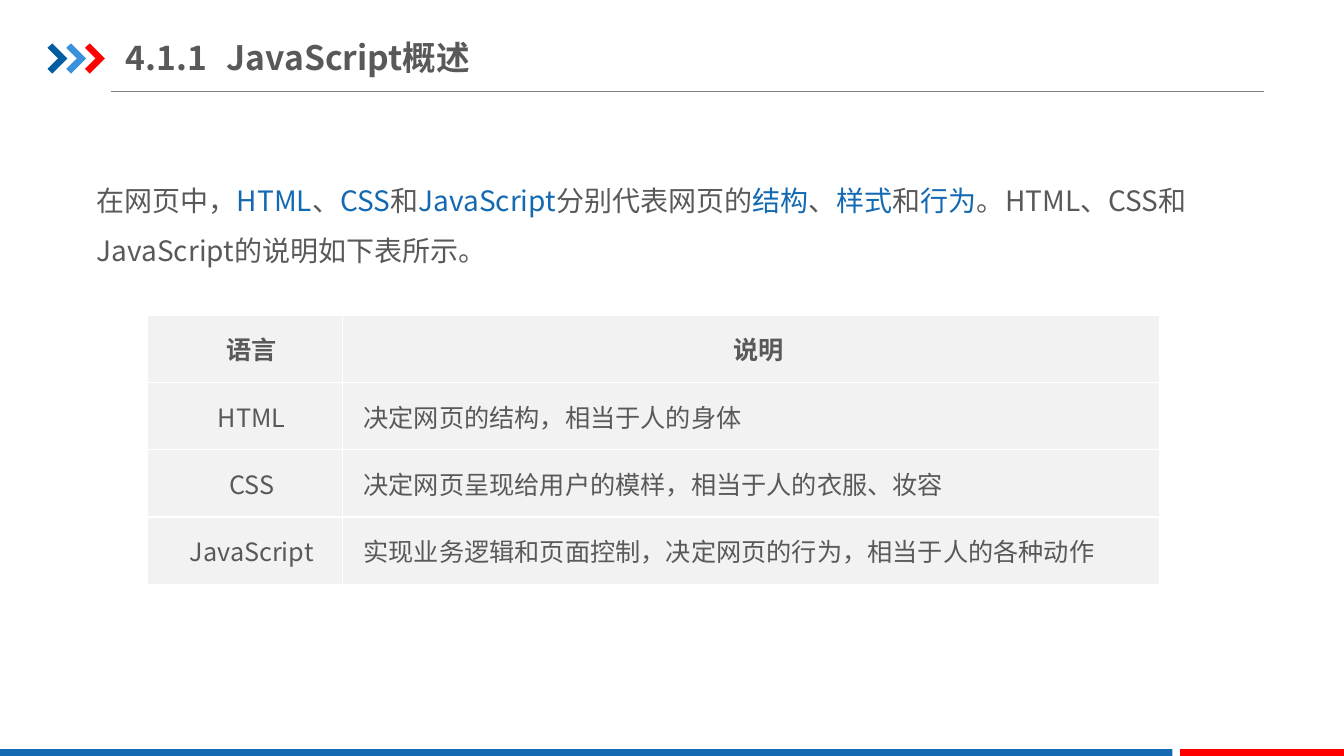
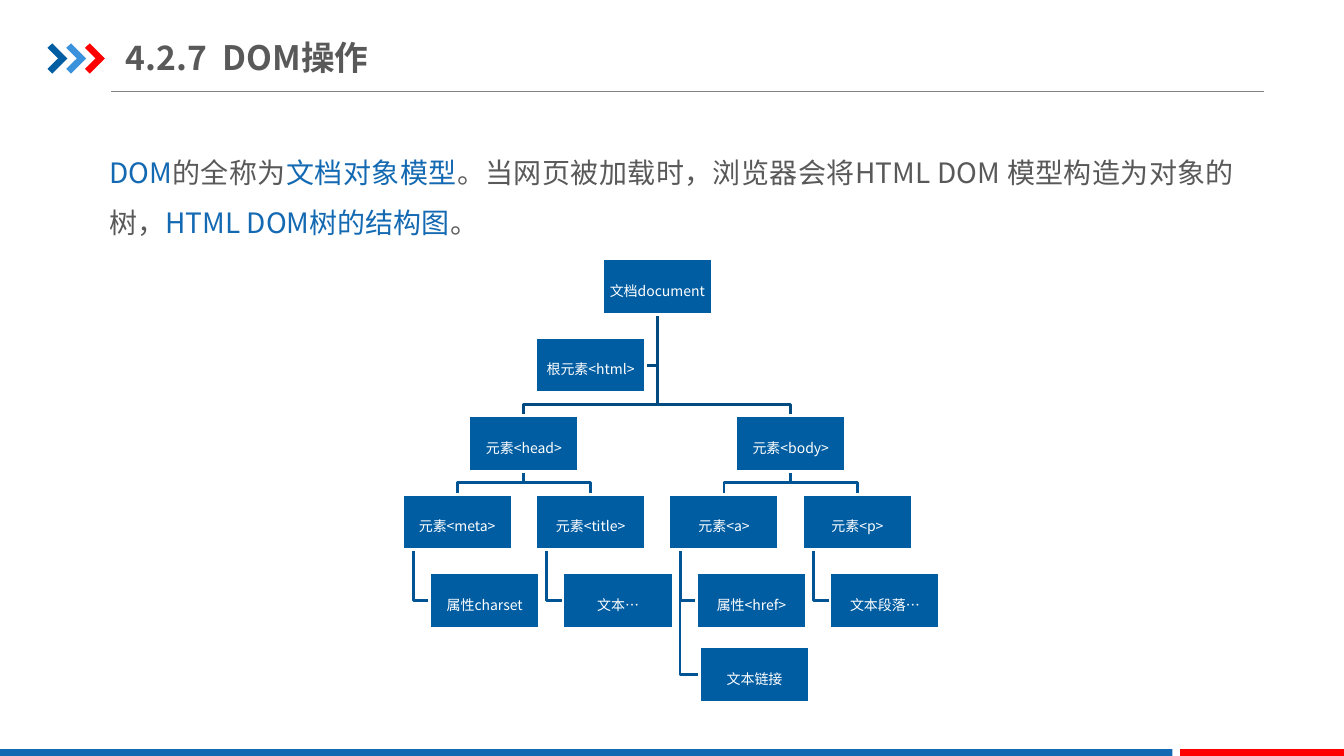
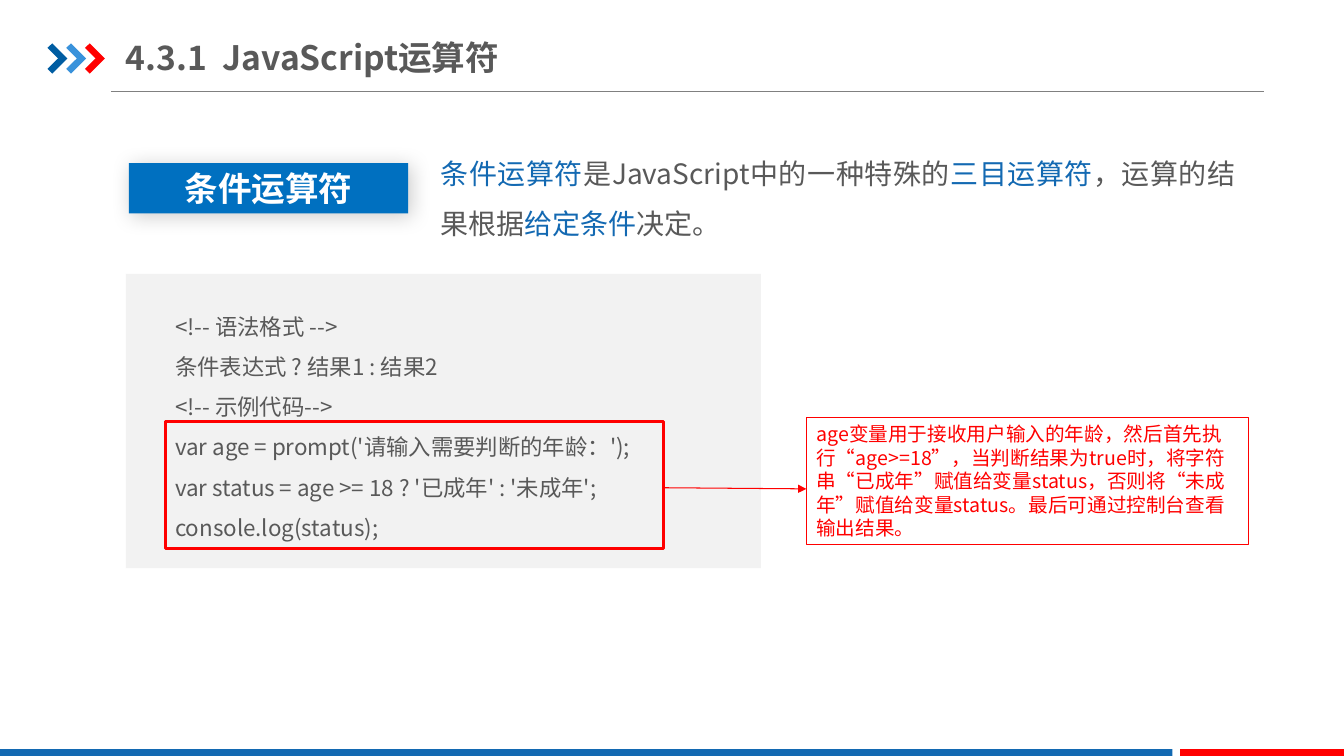
import lxml.etree
import pptx
import pptx.dml.color
import pptx.enum.shapes
import pptx.enum.text
import pptx.oxml.ns
import pptx.util

Pt = pptx.util.Pt
qn = pptx.oxml.ns.qn
ALIGN = pptx.enum.text.PP_ALIGN
MIDDLE = pptx.enum.text.MSO_ANCHOR.MIDDLE
TOP = pptx.enum.text.MSO_ANCHOR.TOP
FONT = "Noto Sans CJK SC"
COLORS = {
    "text": "595959", "accent": "1369B2", "navy": "005DA2", "sky": "3992DB",
    "red": "FF0000", "rule": "808080", "panel": "F2F2F2", "white": "FFFFFF",
    "banner": "0070C0", "trunk": "004A82", "branch": "005493", "black": "000000",
}
NODE_W, NODE_H = 78.5, 39.6
BEND = 8.2
STEM = 7.9


def rgb(name):
    return pptx.dml.color.RGBColor.from_string(COLORS[name])


def sub(parent, tag, **attrs):
    return lxml.etree.SubElement(parent, qn(tag), attrs)


def add_run(p, text, size, color, bold=False):
    r = p.add_run()
    r.text = text
    r.font.size = Pt(size)
    r.font.bold = bold
    r.font.color.rgb = rgb(color)
    r.font.name = FONT
    sub(r.font._element, "a:ea", typeface=FONT)


def set_frame(tf, anchor=TOP, inset=(7.2, 3.6)):
    tf.word_wrap = True
    tf.auto_size = pptx.enum.text.MSO_AUTO_SIZE.NONE
    tf.vertical_anchor = anchor
    tf.margin_left = tf.margin_right = Pt(inset[0])
    tf.margin_top = tf.margin_bottom = Pt(inset[1])


def write_lines(tf, lines, size, color="text", bold=False, align=ALIGN.LEFT, spacing=1):
    for i, line in enumerate(lines):
        p = tf.paragraphs[0] if i == 0 else tf.add_paragraph()
        p.alignment = align
        p.line_spacing = spacing
        for j, part in enumerate(line.split("|")):
            if part:
                add_run(p, part, size, "accent" if j % 2 else color, bold)


def add_text(s, box, lines, size, align=ALIGN.LEFT, inset=(7.2, 3.6)):
    tf = s.shapes.add_textbox(*map(Pt, box)).text_frame
    set_frame(tf, inset=inset)
    write_lines(tf, lines, size, align=align, spacing=1.5)


def paint(sp, fill=None, line=None, width=0.75):
    sp.shadow.inherit = False
    if fill:
        sp.fill.solid()
        sp.fill.fore_color.rgb = rgb(fill)
    else:
        sp.fill.background()
    if line:
        sp.line.color.rgb = rgb(line)
        sp.line.width = Pt(width)
    else:
        sp.line.fill.background()
    return sp


def add_rect(s, box, fill=None, line=None, width=0.75):
    kind = pptx.enum.shapes.MSO_SHAPE.RECTANGLE
    return paint(s.shapes.add_shape(kind, *map(Pt, box)), fill, line, width)


def add_outline(s, points, closed, **style):
    points = [(Pt(x), Pt(y)) for x, y in points]
    builder = s.shapes.build_freeform(*points[0])
    builder.add_line_segments(points[1:], close=closed)
    return paint(builder.convert_to_shape(), **style)


def add_line(s, ends, color, arrow=False):
    kind = pptx.enum.shapes.MSO_CONNECTOR.STRAIGHT
    c = s.shapes.add_connector(kind, *map(Pt, ends))
    c.line.color.rgb = rgb(color)
    c.line.width = Pt(0.75)
    spPr = c.element.spPr
    if arrow:
        sub(spPr.find(qn("a:ln")), "a:tailEnd", type="triangle")
    sub(spPr, "a:effectLst")
    return c


def add_soft_shadow(sp):
    effects = sp.element.spPr.find(qn("a:effectLst"))
    shadow = sub(effects, "a:outerShdw", blurRad=str(Pt(15)), dist=str(Pt(3)),
                 dir=str(45 * 60000), algn="tl", rotWithShape="0")
    color = sub(shadow, "a:srgbClr", val=COLORS["black"])
    sub(color, "a:alpha", val="20000")


def move_decor_to_layout(s, layout):
    title_type = pptx.enum.shapes.PP_PLACEHOLDER.TITLE
    for ph in list(layout.placeholders):
        if ph.placeholder_format.type != title_type:
            layout.shapes.element.remove(ph.element)
    decor = [add_line(s, (79.2, 65.5, 902.9, 65.5), "rule")]
    chevron = [(0, 3.2), (3.5, 0), (14.3, 10.8), (3.5, 21.6), (0, 18.2), (7.6, 10.8)]
    for i, color in enumerate(("navy", "sky", "red")):
        points = [(33.9 + 13.4 * i + x, 31 + y) for x, y in chevron]
        decor.append(add_outline(s, points, True, fill=color))
    decor.append(add_rect(s, (0, 535, 837.4, 6.5), "accent"))
    decor.append(add_rect(s, (843, 535, 117, 6.5), "red"))
    for sp in decor:
        layout.shapes.element.append(sp.element)


def add_titled_slide(prs, layout, title):
    s = prs.slides.add_slide(layout)
    sp = s.shapes.title
    sp.left, sp.top, sp.width, sp.height = map(Pt, (90, 21, 306.7, 39.6))
    set_frame(sp.text_frame, MIDDLE, (0, 5))
    write_lines(sp.text_frame, [title], 24, bold=True)
    return s


def style_cell(cell, text, bold, align):
    tcPr = cell._tc.get_or_add_tcPr()
    for side in ("a:lnL", "a:lnR", "a:lnT", "a:lnB"):
        ln = sub(tcPr, side, w=str(Pt(1)))
        sub(sub(ln, "a:solidFill"), "a:srgbClr", val=COLORS["white"])
    cell.fill.solid()
    cell.fill.fore_color.rgb = rgb("panel")
    cell.vertical_anchor = MIDDLE
    cell.margin_left = cell.margin_right = Pt(5)
    cell.margin_top = cell.margin_bottom = Pt(0)
    write_lines(cell.text_frame, [text], 18, bold=bold, align=align)
    cell.text_frame.paragraphs[0]._p.get_or_add_pPr().set("indent", str(Pt(10)))


def add_language_table(s, rows, widths, left, top, row_h):
    box = (left, top, sum(widths), row_h * len(rows))
    table = s.shapes.add_table(len(rows), len(widths), *map(Pt, box)).table
    table.first_row = table.horz_banding = False
    for column, width in zip(table.columns, widths):
        column.width = Pt(width)
    for i, row in enumerate(rows):
        table.rows[i].height = Pt(row_h)
        for j, text in enumerate(row):
            align = ALIGN.LEFT if i and j else ALIGN.CENTER
            style_cell(table.cell(i, j), text, i == 0, align)


def place_node(col, row, shift=0):
    return 287.3 + 95.3 * col + shift, 185 + 56 * row


def link_points(kind, parent, child):
    (px, py), (cx, cy) = parent, child
    mid, bottom, side = px + NODE_W / 2, py + NODE_H, cy + NODE_H / 2
    if kind == "below":
        end = cx + NODE_W / 2
        return [(mid, bottom), (mid, cy - BEND), (end, cy - BEND), (end, cy)]
    if kind == "beside":
        return [(mid, bottom), (mid, side), (cx + NODE_W, side)]
    return [(px + STEM, bottom), (px + STEM, side), (cx, side)]


def add_node(s, spot, text):
    sp = add_rect(s, (*spot, NODE_W, NODE_H), "navy", "white", 2)
    set_frame(sp.text_frame, MIDDLE, (0.7, 0.7))
    write_lines(sp.text_frame, [text], 10, "white", align=ALIGN.CENTER, spacing=1.5)
    sp.text_frame.paragraphs[0].space_after = Pt(3.5)


def add_dom_tree(s):
    nodes = {
        "document": ("文档document", place_node(1.5, 0), None, None),
        "html": ("根元素<html>", place_node(1, 1), "document", "beside"),
        "head": ("元素<head>", place_node(0.5, 2), "document", "below"),
        "body": ("元素<body>", place_node(2.5, 2), "document", "below"),
        "meta": ("元素<meta>", place_node(0, 3), "head", "below"),
        "title": ("元素<title>", place_node(1, 3), "head", "below"),
        "a": ("元素<a>", place_node(2, 3), "body", "below"),
        "p": ("元素<p>", place_node(3, 3), "body", "below"),
        "charset": ("属性charset", place_node(0, 4, 19.6), "meta", "hang"),
        "title_text": ("文本…", place_node(1, 4, 19.6), "title", "hang"),
        "href": ("属性<href>", place_node(2, 4, 19.6), "a", "hang"),
        "link_text": ("文本链接", place_node(2, 4.95, 21.8), "a", "hang"),
        "p_text": ("文本段落…", place_node(3, 4, 19.6), "p", "hang"),
    }
    for _, spot, parent, kind in nodes.values():
        if parent:
            color = "trunk" if parent == "document" else "branch"
            points = link_points(kind, nodes[parent][1], spot)
            add_outline(s, points, False, line=color, width=2)
    for text, spot, _, _ in nodes.values():
        add_node(s, spot, text)


def build_overview(s):
    add_text(s, (62, 115.2, 808.6, 80), [
        "在网页中，|HTML|、|CSS|和|JavaScript|分别代表网页的|结构|、|样式|和|行为|。"
        "HTML、CSS和JavaScript的说明如下表所示。"], 20)
    rows = [
        ("语言", "说明"),
        ("HTML", "决定网页的结构，相当于人的身体"),
        ("CSS", "决定网页呈现给用户的模样，相当于人的衣服、妆容"),
        ("JavaScript", "实现业务逻辑和页面控制，决定网页的行为，相当于人的各种动作"),
    ]
    add_language_table(s, rows, (139.7, 583.9), 105, 225, 48.1)


def build_dom(s):
    add_text(s, (68.6, 93.8, 822.2, 82), [
        "|DOM|的全称为|文档对象模型|。当网页被加载时，浏览器会将HTML DOM 模型构造为对象的树，"
        "|HTML DOM树的结构图|。"], 20, ALIGN.JUSTIFY, (9.4, 5))
    add_dom_tree(s)


def build_operators(s):
    banner = add_rect(s, (92, 116.5, 199.6, 36), "banner")
    add_soft_shadow(banner)
    set_frame(banner.text_frame, MIDDLE)
    write_lines(banner.text_frame, ["条件运算符"], 24, "white", True, ALIGN.CENTER)
    add_text(s, (305.2, 94.5, 586.8, 82), [
        "|条件运算符|是JavaScript中的一种特殊的|三目运算符|，运算的结果根据|给定条件|决定。"],
        20, ALIGN.JUSTIFY, (9.4, 5))
    add_rect(s, (90, 195.6, 453.6, 210.2), "panel")
    add_text(s, (118, 210.2, 380.2, 181.4), [
        "<!-- 语法格式 -->",
        "条件表达式 ? 结果1 : 结果2",
        "<!-- 示例代码-->",
        "var age = prompt('请输入需要判断的年龄：');",
        "var status = age >= 18 ? '已成年' : '未成年';",
        "console.log(status);",
    ], 16)
    add_rect(s, (118.2, 300.8, 356, 90.8), line="red", width=2)
    add_line(s, (474.5, 348.4, 576, 349.2), "red", arrow=True)
    note = add_rect(s, (576, 298.2, 316, 90.7), line="red")
    set_frame(note.text_frame, MIDDLE)
    write_lines(note.text_frame, [
        "age变量用于接收用户输入的年龄，然后首先执行“age>=18”，当判断结果为true时，"
        "将字符串“已成年”赋值给变量status，否则将“未成年”赋值给变量status。"
        "最后可通过控制台查看输出结果。"], 14, "red")


def main():
    prs = pptx.Presentation()
    prs.slide_width, prs.slide_height = Pt(960), Pt(540)
    layout = prs.slide_layouts[5]
    pages = [
        ("4.1.1\tJavaScript概述", build_overview),
        ("4.2.7  DOM操作", build_dom),
        ("4.3.1  JavaScript运算符", build_operators),
    ]
    for i, (title, build) in enumerate(pages):
        s = add_titled_slide(prs, layout, title)
        if i == 0:
            move_decor_to_layout(s, layout)
        build(s)
    prs.save("out.pptx")


if __name__ == "__main__":
    main()
